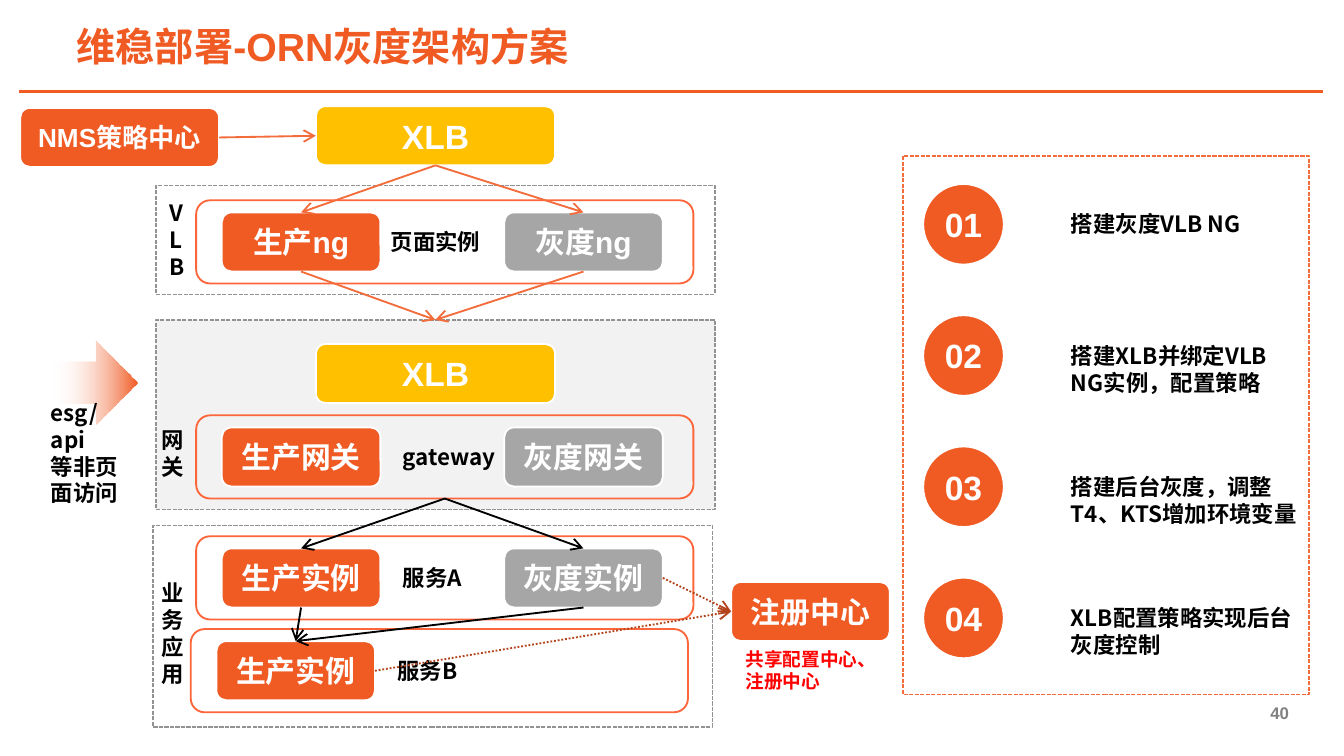
import pptx
import pptx.util
import pptx.dml.color
import pptx.enum.dml
import pptx.enum.shapes
import pptx.enum.text
import pptx.oxml.ns
from lxml import etree

Pt = pptx.util.Pt
SHAPE = pptx.enum.shapes.MSO_SHAPE
DASH = pptx.enum.dml.MSO_LINE
ALIGN = pptx.enum.text.PP_ALIGN
ANCHOR = pptx.enum.text.MSO_ANCHOR
FIT = pptx.enum.text.MSO_AUTO_SIZE
qn = pptx.oxml.ns.qn

COLORS = {
    "orange": "F05A23", "flow": "F36C3B", "frame": "FD663A", "rust": "B2431A",
    "amber": "FFC000", "gray": "A6A6A6", "border": "929292", "panel": "F2F2F2",
    "page": "808080", "red": "FF0000", "black": "000000", "white": "FFFFFF",
    "fade": "FEF7F4",
}
LATIN, CJK = "Arial", "Noto Sans CJK SC"
NODE_W, NODE_H = 85, 31.7
FRAME_W, FRAME_H = 266.4, 44.6
TOP, LEFT, BOTTOM, RIGHT = range(4)  # connection sites


def rgb(name):
    return pptx.dml.color.RGBColor.from_string(COLORS[name])


def apply(target, values):
    for name, value in values.items():
        setattr(target, name, value)


def write(frame, paragraphs, size, color, font=LATIN, align=None, indent=0, **layout):
    apply(frame, {"word_wrap": True, **layout})
    for i, words in enumerate(paragraphs):
        paragraph = frame.add_paragraph() if i else frame.paragraphs[0]
        if indent:
            properties = paragraph._p.get_or_add_pPr()
            properties.set("marL", str(Pt(indent)))
            properties.set("indent", "0")
        paragraph.alignment = align
        run = paragraph.add_run()
        run.text = words
        apply(run.font, {"size": Pt(size), "bold": True, "name": font})
        run.font.color.rgb = rgb(color)
        etree.SubElement(run._r.get_or_add_rPr(), qn("a:ea"), typeface=CJK)


def label(slide, box, *paragraphs, size=12, color="black"):
    text = slide.shapes.add_textbox(*map(Pt, box))
    write(text.text_frame, paragraphs, size, color, CJK, indent=8.64,
          auto_size=FIT.SHAPE_TO_FIT_TEXT)


def outline(line, color, width, dash=None):
    line.color.rgb = rgb(color)
    line.width = Pt(width)
    if dash:
        line.dash_style = dash


def block(slide, kind, box, fill=None, line="white", width=1, dash=None):
    shape = slide.shapes.add_shape(kind, *map(Pt, box))
    shape.shadow.inherit = False
    if fill:
        shape.fill.solid()
        shape.fill.fore_color.rgb = rgb(fill)
    else:
        shape.fill.background()
    outline(shape.line, line, width, dash)
    return shape


def node(slide, box, words, fill="orange", size=16, kind=SHAPE.ROUNDED_RECTANGLE, wrap=True):
    shape = block(slide, kind, box, fill)
    write(shape.text_frame, [words], size, "white", align=ALIGN.CENTER,
          vertical_anchor=ANCHOR.MIDDLE, word_wrap=wrap)
    return shape


def straight(slide, x1, y1, x2, y2, color, width, dash=None):
    line = slide.shapes.add_connector(
        pptx.enum.shapes.MSO_CONNECTOR.STRAIGHT, *map(Pt, (x1, y1, x2, y2)))
    etree.SubElement(line._element.spPr, qn("a:effectLst"))
    outline(line.line, color, width, dash)
    return line


def flow(slide, source, source_site, target, target_site, color="flow", dash=None):
    arrow = straight(slide, 0, 0, 1, 1, color, 1, dash)
    arrow.begin_connect(source, source_site)
    arrow.end_connect(target, target_site)
    etree.SubElement(arrow._element.spPr.find(qn("a:ln")), qn("a:tailEnd"), type="arrow")


def header(slide, box):
    x, y, w, h = box
    title = slide.shapes.add_textbox(*map(Pt, (x + 22.3, y + 10.8, 451.4, 27.4)))
    write(title.text_frame, ["维稳部署-ORN灰度架构方案"], 21, "orange", indent=8.64,
          vertical_anchor=ANCHOR.MIDDLE, margin_left=0, margin_right=0,
          margin_top=0, margin_bottom=0)
    straight(slide, x, y + h, x + w, y + h, "orange", 1.5)


def page_number(slide, box):
    number = slide.shapes.add_textbox(*map(Pt, box))
    write(number.text_frame, ["40"], 9, "page", align=ALIGN.RIGHT,
          vertical_anchor=ANCHOR.BOTTOM, margin_left=Pt(5), margin_right=Pt(5),
          margin_top=0, margin_bottom=Pt(3))


def panel(slide, box, name, name_box, fill=None):
    """Dashed zone with its name set vertically at the left edge."""
    x, y = box[:2]
    dx, dy, w, h = name_box
    zone = block(slide, SHAPE.RECTANGLE, box, fill, "border", 0.75, DASH.SQUARE_DOT)
    label(slide, (x + dx, y + dy, w, h), name)
    return zone


def service(slide, x, y, name, production, canary=None, name_dx=95):
    """Rounded frame with a production node and, if given, a canary node."""
    live = node(slide, (x + 13.7, y + 6.5, NODE_W, NODE_H), production)
    gray = None
    if canary:
        gray = node(slide, (x + 165, y + 6.5, NODE_W, NODE_H), canary, "gray")
    frame = block(slide, SHAPE.ROUNDED_RECTANGLE, (x, y, FRAME_W, FRAME_H), line="frame")
    label(slide, (x + name_dx, y + 11.5, 76.3, 21.6), name)
    return frame, live, gray


def external_access(slide, box):
    x, y, w, h = box
    arrow = block(slide, SHAPE.RIGHT_ARROW, (x + 17.3, y, 44.6, 45.4))
    arrow.line.fill.background()
    arrow.fill.gradient()
    arrow.fill.gradient_angle = 0
    for stop, color, position in zip(arrow.fill.gradient_stops, ("fade", "orange"), (0, 1)):
        stop.color.rgb = rgb(color)
        stop.position = position
    faded = arrow._element.spPr.find(".//" + qn("a:srgbClr"))
    etree.SubElement(faded, qn("a:alpha"), val="0")
    label(slide, (x, y + 28, w, h - 28), "esg/api", "等非页面访问")


def architecture(slide, box):
    x, y, w = box[:3]
    # Zones and services, top to bottom
    gateway_zone = panel(slide, (x, y + 93.8, w, 101.5), "网关",
                         (-12.9, 53.2, 26.6, 36), "panel")
    policy = node(slide, (x - 72.7, y - 19.8, 106.6, 31.7), "NMS策略中心", size=14)
    entry, inner = [node(slide, (x + 85.7, y + dy, 128.2, 31.7), "XLB", "amber", 18)
                    for dy in (-20.7, 106.7)]
    panel(slide, (x, y + 21.8, w, 58.3), "VLB", (-8.6, 3.6, 26.6, 51.1))
    _, live_ng, gray_ng = service(slide, x + 21.6, y + 29.7, "页面实例",
                                  "生产ng", "灰度ng", 88.6)
    gateway, _, _ = service(slide, x + 21.6, y + 144.9, "gateway", "生产网关", "灰度网关")
    panel(slide, (x - 1.4, y + 203.9, w, 108), "业务应用", (-11.5, 25.2, 26.6, 65.5), "white")
    _, live_a, gray_a = service(slide, x + 21.6, y + 209.7, "服务A", "生产实例", "灰度实例")
    _, live_b, _ = service(slide, x + 18.7, y + 259.4, "服务B", "生产实例")

    # Registry
    registry = node(slide, (x + 308.2, y + 234.2, NODE_W, NODE_H), "注册中心")
    label(slide, (x + 300.3, y + 265.8, 85, 31.7), "共享配置中心、注册中心",
          size=10, color="red")

    # Flows
    flow(slide, policy, RIGHT, entry, LEFT)
    for ng in (live_ng, gray_ng):
        flow(slide, entry, BOTTOM, ng, TOP)
        flow(slide, ng, BOTTOM, gateway_zone, TOP)
    for instance in (live_a, gray_a):
        flow(slide, gateway, BOTTOM, instance, TOP, "black")
        flow(slide, instance, BOTTOM, live_b, TOP, "black")
    for instance in (gray_a, live_b):
        flow(slide, instance, RIGHT, registry, LEFT, "rust", DASH.ROUND_DOT)


def steps(slide, box):
    x, y = box[:2]
    items = [("搭建灰度VLB NG", 136.8), ("搭建XLB并绑定VLB NG实例，配置策略", 136.1),
             ("搭建后台灰度，调整T4、KTS增加环境变量", 144), ("XLB配置策略实现后台灰度控制", 144)]
    for i, (words, width) in enumerate(items):
        top = y + 15.1 + i * 70.3
        node(slide, (x + 10.8, top, 43.2, 43.2), f"{i + 1:02}", size=18,
             kind=SHAPE.OVAL, wrap=False)
        label(slide, (x + 74.2, top + 10.7, width, 36), words)
    block(slide, SHAPE.RECTANGLE, box, line="flow", width=0.75, dash=DASH.SQUARE_DOT)


def main():
    deck = pptx.Presentation()
    apply(deck, {"slide_width": Pt(720), "slide_height": Pt(405)})
    slide = deck.slides.add_slide(deck.slide_layouts[6])
    header(slide, (10.1, 0, 698.4, 49))
    page_number(slide, (523.4, 378, 172.1, 12.2))
    architecture(slide, (83.5, 77.6, 299.5, 312))
    external_access(slide, (11.5, 182.2, 62.6, 79.1))
    steps(slide, (483.8, 83.5, 217.4, 288.7))
    deck.save("out.pptx")


if __name__ == "__main__":
    main()
